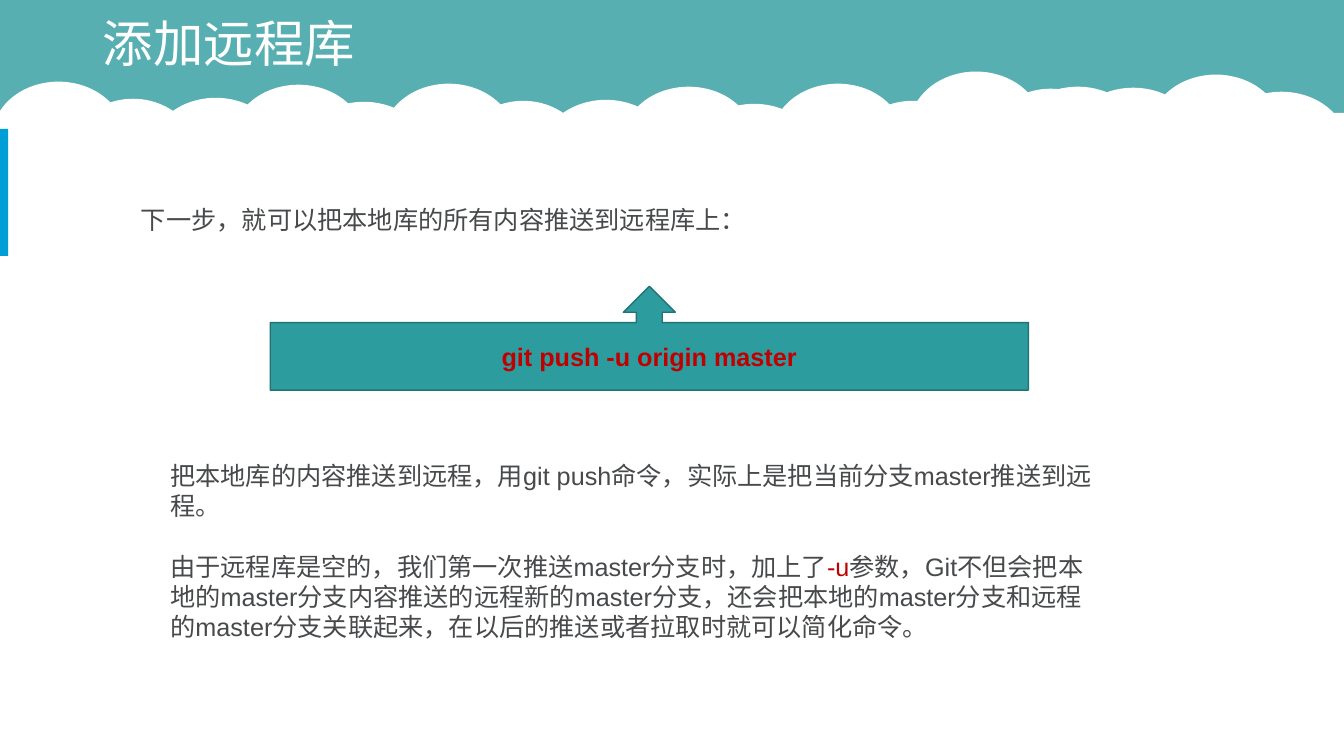
from lxml import etree
from pptx import Presentation
from pptx.dml.color import RGBColor
from pptx.enum.shapes import MSO_SHAPE
from pptx.enum.text import MSO_ANCHOR, PP_ALIGN
from pptx.oxml.ns import qn
from pptx.util import Inches, Pt

RECTANGLE = MSO_SHAPE.RECTANGLE
OVAL = MSO_SHAPE.OVAL
UP_CALLOUT = MSO_SHAPE.UP_ARROW_CALLOUT
MIDDLE = MSO_ANCHOR.MIDDLE
LEFT, CENTER = PP_ALIGN.LEFT, PP_ALIGN.CENTER

TEAL = RGBColor(0x2D, 0x9C, 0x9F)
DARK_TEAL = RGBColor(0x21, 0x73, 0x76)
BLUE = RGBColor(0x00, 0x9E, 0xD6)
WHITE = RGBColor(0xFF, 0xFF, 0xFF)
GRAY = RGBColor(0x47, 0x49, 0x4B)
RED = RGBColor(0xC0, 0x00, 0x00)

# Left and top of each cluster; then offset and height of each puff in it
CLOUD_CLUSTERS = [(-0.08, 0.81), (3.79, 0.83), (7.65, 0.83), (9.02, 0.71)]
CLOUD_PUFFS = [(0, 0, 1.11), (0.74, 0.17, 1.21), (1.56, 0.16, 1.11),
               (2.38, 0.03, 1.11), (3.03, 0.2, 1.11)]
PUFF_WIDTH = 1.32


class SlideBuilder:
    font = "Arial"
    body_size = 18

    def __init__(self, slide):
        self.slide = slide

    def format_run(self, run, color, size=body_size, bold=False):
        run.font.name = self.font
        run.font.size = Pt(size)
        run.font.bold = bold
        run.font.color.rgb = color

    def title(self, text, left, top, width, height):
        title = self.slide.shapes.title
        title.left, title.top = Inches(left), Inches(top)
        title.width, title.height = Inches(width), Inches(height)
        frame = title.text_frame
        frame.text = text
        frame.vertical_anchor = MIDDLE
        paragraph = frame.paragraphs[0]
        paragraph.alignment = LEFT
        paragraph.line_spacing = 0.9
        self.format_run(paragraph.runs[0], WHITE, 36)
        # Bring the title in front of the banner
        title.element.getparent().append(title.element)

    def shape(self, kind, left, top, width, height, fill, line=None, opacity=None):
        shape = self.slide.shapes.add_shape(
            kind, Inches(left), Inches(top), Inches(width), Inches(height))
        shape.shadow.inherit = False
        shape.fill.solid()
        shape.fill.fore_color.rgb = fill
        if opacity is not None:
            color = shape.element.spPr.find(qn("a:solidFill")).find(qn("a:srgbClr"))
            etree.SubElement(color, qn("a:alpha")).set("val", str(opacity * 1000))
        if line is None:
            shape.line.fill.background()
        else:
            shape.line.color.rgb = line
            shape.line.width = Pt(1)
        return shape

    def callout(self, text, left, top, width, height):
        callout = self.shape(UP_CALLOUT, left, top, width, height, TEAL, DARK_TEAL)
        frame = callout.text_frame
        frame.text = text
        frame.vertical_anchor = MIDDLE
        frame.paragraphs[0].alignment = CENTER
        self.format_run(frame.paragraphs[0].runs[0], RED, bold=True)

    def text(self, paragraphs, left, top, width, height, gap=0):
        """Each paragraph is a list of (text, color) pieces."""
        box = self.slide.shapes.add_textbox(
            Inches(left), Inches(top), Inches(width), Inches(height))
        frame = box.text_frame
        frame.word_wrap = True
        for index, pieces in enumerate(paragraphs):
            paragraph = frame.add_paragraph() if index else frame.paragraphs[0]
            if index:
                paragraph.space_before = Pt(gap)
            for content, color in pieces:
                run = paragraph.add_run()
                run.text = content
                self.format_run(run, color)


def main():
    prs = Presentation()
    prs.slide_width, prs.slide_height = Inches(13.33), Inches(7.5)
    page = SlideBuilder(prs.slides.add_slide(prs.slide_layouts[5]))

    # Banner with a cloud edge
    page.shape(RECTANGLE, 0, 0, 13.33, 3.68, TEAL, opacity=80)
    for cluster_left, cluster_top in CLOUD_CLUSTERS:
        for dx, dy, puff_height in CLOUD_PUFFS:
            page.shape(OVAL, cluster_left + dx, cluster_top + dy,
                       PUFF_WIDTH, puff_height, WHITE)
    page.shape(RECTANGLE, 0, 1.12, 13.33, 4.5, WHITE)
    page.title("添加远程库", 0.92, 0.06, 11.5, 0.79)

    # Accent bar at the left edge
    page.shape(RECTANGLE, 0, 1.28, 0.08, 1.26, BLUE)

    # Next step and its command
    page.text([[("下一步，就可以把本地库的所有内容推送到远程库上：", GRAY)]],
              1.3, 1.98, 10.39, 0.4)
    page.callout("git push -u origin master", 2.68, 2.84, 7.52, 1.03)

    # Explanation
    page.text([
        [("把本地库的内容推送到远程，用git push命令，"
          "实际上是把当前分支master推送到远程。", GRAY)],
        [("由于远程库是空的，我们第一次推送master分支时，加上了", GRAY),
         ("-u", RED),
         ("参数，Git不但会把本地的master分支内容推送的远程新的master分支，"
          "还会把本地的master分支和远程的master分支关联起来，"
          "在以后的推送或者拉取时就可以简化命令。", GRAY)],
    ], 1.59, 4.52, 9.39, 1.9, gap=21.5)

    prs.save("out.pptx")


if __name__ == "__main__":
    main()
